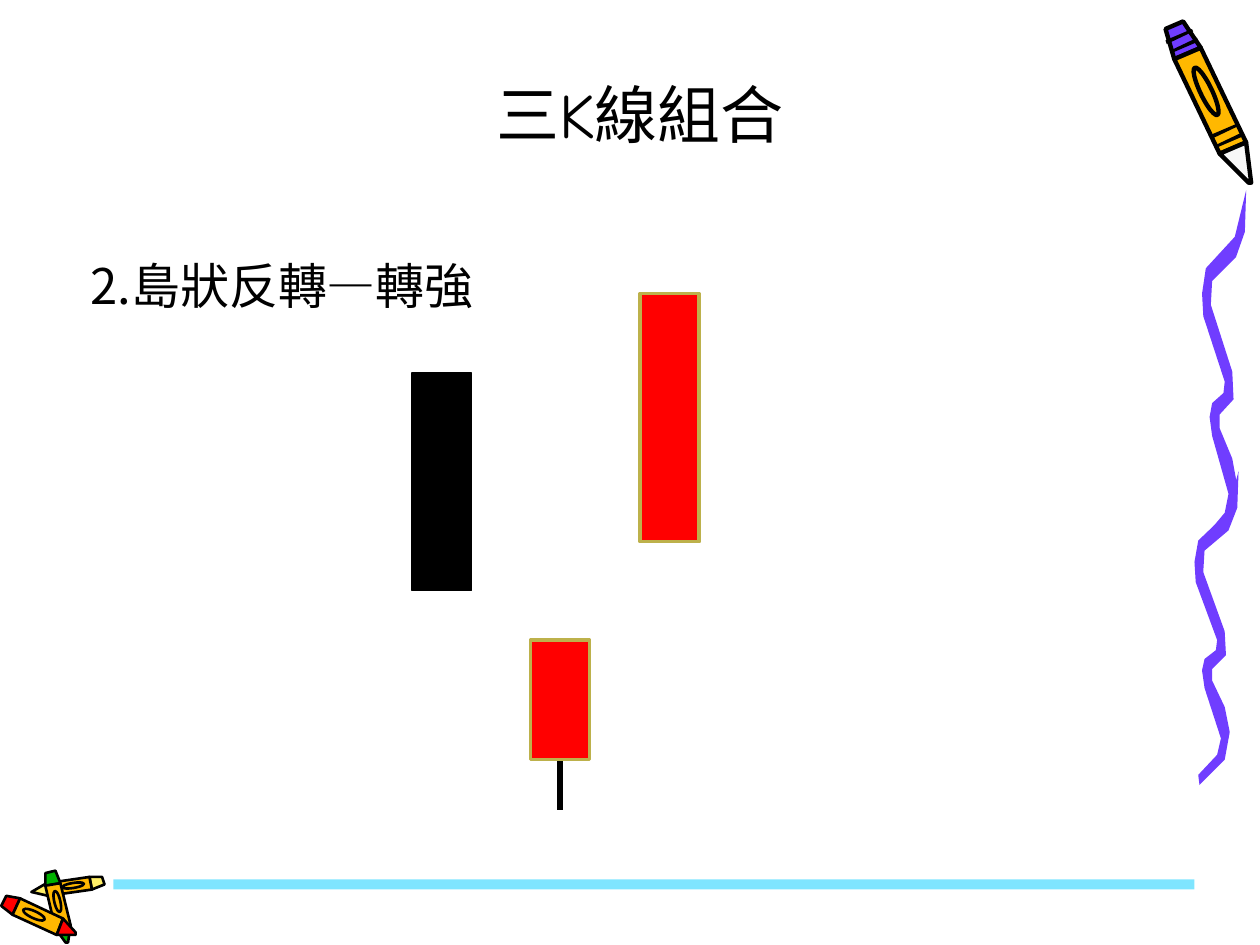
from math import atan2, degrees, hypot

from lxml.etree import SubElement
from pptx import Presentation
from pptx.dml.color import RGBColor
from pptx.enum.shapes import MSO_CONNECTOR, MSO_SHAPE
from pptx.enum.text import MSO_ANCHOR, PP_ALIGN
from pptx.oxml.ns import qn
from pptx.util import Inches, Pt

# The slide is a grid of 1000 columns by 750 rows
CELL = Inches(0.01)
COLUMNS, ROWS = 1000, 750
CANDLE_WIDTH = 47

BLACK = RGBColor(0x00, 0x00, 0x00)
RED = RGBColor(0xFF, 0x00, 0x00)
GOLD = RGBColor(0xBD, 0xB1, 0x4B)
PURPLE = RGBColor(0x70, 0x3D, 0xFF)
ORANGE = RGBColor(0xFF, 0xB8, 0x00)
PALE = RGBColor(0xF8, 0xF8, 0xF8)
YELLOW = RGBColor(0xFF, 0xEF, 0x66)
GREEN = RGBColor(0x00, 0xB2, 0x00)
CYAN = RGBColor(0x00, 0xCC, 0xFF)

TEXT_FONT = "Noto Sans CJK SC"
TITLE_FONT = "Comic Neue"
SERIF_FONT = "Times New Roman"

# One wave of the squiggle: left and right edge, from its top
WAVE_TOP = 151
WAVE = [(989, 151), (980, 188), (957, 213), (954, 233), (955, 251), (972, 303),
        (971, 312), (962, 320), (960, 331), (962, 346), (975, 392), (972, 407),
        (957, 425), (958, 434), (978, 411), (982, 386), (978, 364), (968, 340),
        (968, 329), (979, 317), (978, 295), (961, 242), (962, 223), (981, 204),
        (988, 184)]


def cells(*counts):
    return [round(count * CELL) for count in counts]


def style_shape(shape, fill=None, line=None, line_width=0.75):
    shape.shadow.inherit = False
    if fill is None:
        shape.fill.background()
    else:
        shape.fill.solid()
        shape.fill.fore_color.rgb = fill
    if line is None:
        shape.line.fill.background()
    else:
        shape.line.color.rgb = line
        shape.line.width = Pt(line_width)


def add_outline(shapes, corners, **style):
    builder = shapes.build_freeform(*corners[0], scale=CELL)
    builder.add_line_segments(corners[1:], close=True)
    style_shape(builder.convert_to_shape(), **style)


def add_squiggle(slide):
    """Draw the wave twice, the lower one shifted and shortened."""
    group = slide.shapes.add_group_shape()
    for shift, top, stretch in ((-6, 374, 0.88), (0, WAVE_TOP, 1)):
        corners = [(x + shift, top + (y - WAVE_TOP) * stretch) for x, y in WAVE]
        add_outline(group.shapes, corners, fill=PURPLE)


def add_crayon(slide, end, tip, width, cap_color, tip_color, line_width, stripes=()):
    """Draw a crayon along the axis from its blunt end to its tip."""
    group = slide.shapes.add_group_shape()
    run, rise = tip[0] - end[0], tip[1] - end[1]
    length = hypot(run, rise)

    def point(along, across):
        offset = across * width / length
        return end[0] + along * run - offset * rise, end[1] + along * rise + offset * run

    def add_section(start, stop, first_half, last_half, **style):
        corners = [point(start, -first_half), point(stop, -last_half),
                   point(stop, last_half), point(start, first_half)]
        add_outline(group.shapes, corners, **style)

    ink = {"line": BLACK, "line_width": line_width}
    add_section(0, 0.18, 0.35, 0.5, fill=cap_color, **ink)
    add_section(0.18, 0.78, 0.5, 0.5, fill=ORANGE, **ink)
    add_section(0.78, 1, 0.5, 0.05, fill=tip_color, **ink)
    for start in stripes:
        add_section(start, start + 0.02, 0.5, 0.5, fill=BLACK)

    # Oval label on the barrel
    center_x, center_y = point(0.42, 0)
    label_length, label_width = length * 0.3, width * 0.4
    label = group.shapes.add_shape(MSO_SHAPE.OVAL, *cells(
        center_x - label_length / 2, center_y - label_width / 2, label_length, label_width))
    label.rotation = degrees(atan2(rise, run))
    style_shape(label, **ink)


def add_rectangle(slide, box, opacity=None, **style):
    shape = slide.shapes.add_shape(MSO_SHAPE.RECTANGLE, *cells(*box))
    style_shape(shape, **style)
    if opacity is not None:
        color = shape.fill._xPr.find(".//" + qn("a:srgbClr"))
        SubElement(color, qn("a:alpha"), val=str(opacity * 1000))
    return shape


def add_line(slide, start, end, color=BLACK, width=3):
    line = slide.shapes.add_connector(MSO_CONNECTOR.STRAIGHT, *cells(*start, *end))
    line.line.color.rgb = color
    line.line.width = Pt(width)
    SubElement(line._element.spPr, qn("a:effectLst"))
    return line


def add_text(slide, box, runs, size, align=PP_ALIGN.LEFT, anchor=MSO_ANCHOR.TOP):
    """Write one paragraph from (text, font name) runs."""
    frame = slide.shapes.add_textbox(*cells(*box)).text_frame
    frame.word_wrap = True
    frame.vertical_anchor = anchor
    paragraph = frame.paragraphs[0]
    paragraph.alignment = align
    for text, font_name in runs:
        run = paragraph.add_run()
        run.text = text
        run.font.size = Pt(size)
        run.font.name = font_name
        run.font.color.rgb = BLACK
        SubElement(run.font._element, qn("a:ea"), typeface=TEXT_FONT)


def main():
    presentation = Presentation()
    presentation.slide_width, presentation.slide_height = cells(COLUMNS, ROWS)
    slide = presentation.slides.add_slide(presentation.slide_layouts[6])

    # Crayons, squiggle and footer bar
    add_crayon(slide, (82, 699), (25, 708), 10, YELLOW, YELLOW, 1.5)
    add_crayon(slide, (40, 692), (53, 748), 12, GREEN, GREEN, 1.5)
    add_crayon(slide, (3, 715), (60, 741), 14, RED, RED, 1.5)
    add_squiggle(slide)
    add_crayon(slide, (932, 20), (992, 145), 23, PURPLE, PALE, 2.5,
               stripes=(0.06, 0.12, 0.66, 0.72))
    add_rectangle(slide, (90, 698, 858, 8), fill=CYAN, opacity=50)

    # Title and pattern name
    add_text(slide, (117, 0, 782, 125), [("三K線組合", TITLE_FONT)], 36,
             align=PP_ALIGN.CENTER, anchor=MSO_ANCHOR.BOTTOM)
    add_text(slide, (62, 198, 480, 57),
             [("2.島狀反轉—", TEXT_FONT), ("轉強", SERIF_FONT)], 28)

    # Three candlesticks, the middle one with a lower shadow
    rising = {"fill": RED, "line": GOLD, "line_width": 2}
    add_rectangle(slide, (327, 296, CANDLE_WIDTH, 173), fill=BLACK, line=BLACK)
    add_rectangle(slide, (508, 233, CANDLE_WIDTH, 197), **rising)
    lower_shadow = add_line(slide, (444.5, 603), (444.5, 643))
    island = add_rectangle(slide, (421, 508, CANDLE_WIDTH, 95), **rising)
    lower_shadow.begin_connect(island, 2)

    presentation.save("out.pptx")


if __name__ == "__main__":
    main()
